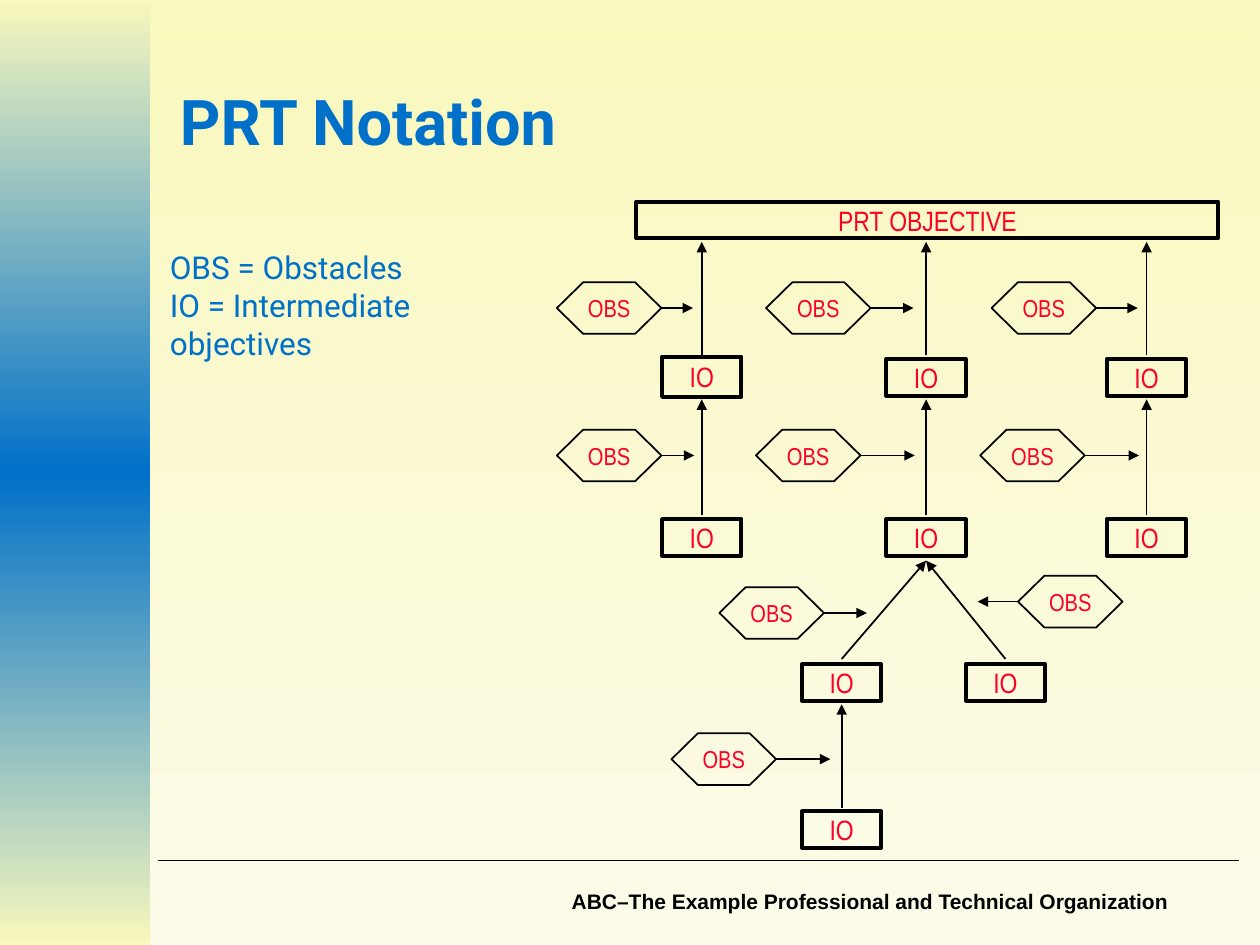
from copy import deepcopy

from lxml import etree
from pptx import Presentation
from pptx import util as u
from pptx.dml import color
from pptx.enum import shapes, text
from pptx.oxml import ns

COLORS = {"cream": "F9F8BD", "pale": "FCFBEA", "blue": "0070C8",
          "red": "FC0128", "black": "000000"}
OBJECTIVE_ARROW = (2.82, 1.92)
IO_ARROW = (4.09, 3.17)
HEXAGON_WIDTH, HEXAGON_HEIGHT = 0.83, 0.41
IO_WIDTH, IO_HEIGHT = 0.63, 0.29


def rgb(name):
    return color.RGBColor.from_string(COLORS[name])


def set_gradient(fill, owner, names):
    fill.gradient()
    fill.gradient_angle = 270
    stop_list = next(owner.iter(ns.qn("a:gsLst")))
    template = deepcopy(stop_list[0])
    for stop in list(stop_list):
        stop_list.remove(stop)
    for index in range(len(names)):
        stop_list.append(deepcopy(template))
    for index, (stop, name) in enumerate(zip(fill.gradient_stops, names)):
        stop.position = index / (len(names) - 1)
        stop.color.rgb = rgb(name)


def write_text(shape, lines, size, font, name, bold=False,
               align=text.PP_ALIGN.LEFT, anchor=text.MSO_ANCHOR.TOP):
    frame = shape.text_frame
    frame.word_wrap = True
    frame.vertical_anchor = anchor
    frame.text = lines
    for paragraph in frame.paragraphs:
        paragraph.alignment = align
        for run in paragraph.runs:
            run.font.size = u.Pt(size)
            run.font.name = font
            run.font.bold = bold
            run.font.color.rgb = rgb(name)


def add_text(slide, box, lines, size, font, name, **options):
    shape = slide.shapes.add_textbox(*map(u.Inches, box))
    write_text(shape, lines, size, font, name, **options)
    return shape


def add_node(slide, kind, box, label, size, width):
    shape = slide.shapes.add_shape(kind, *map(u.Inches, box))
    shape.shadow.inherit = False
    shape.fill.background()
    shape.line.color.rgb = rgb("black")
    shape.line.width = u.Pt(width)
    frame = shape.text_frame
    frame.margin_left = frame.margin_right = u.Inches(0.02)
    frame.margin_top = frame.margin_bottom = u.Inches(0.01)
    write_text(shape, label, size, "Arial Narrow", "red",
               align=text.PP_ALIGN.CENTER, anchor=text.MSO_ANCHOR.MIDDLE)
    return shape


def add_io(slide, center, top, height=IO_HEIGHT):
    box = (center - IO_WIDTH / 2, top, IO_WIDTH, height)
    add_node(slide, shapes.MSO_SHAPE.RECTANGLE, box, "IO", 16, 2.25)


def add_line(slide, start, end, arrow=True):
    line = slide.shapes.add_connector(
        shapes.MSO_CONNECTOR.STRAIGHT, *map(u.Inches, start + end))
    line.line.color.rgb = rgb("black")
    line.line.width = u.Pt(1)
    if arrow:
        outline = line._element.spPr.find(ns.qn("a:ln"))
        etree.SubElement(outline, ns.qn("a:tailEnd"), type="triangle")
    etree.SubElement(line._element.spPr, ns.qn("a:effectLst"))


def add_obstacle(slide, left, top, tip):
    box = (left, top, HEXAGON_WIDTH, HEXAGON_HEIGHT)
    hexagon = add_node(slide, shapes.MSO_SHAPE.HEXAGON, box, "OBS", 14, 1)
    hexagon.adjustments[0] = 0.51
    edge = left + HEXAGON_WIDTH if tip > left else left
    middle = top + HEXAGON_HEIGHT / 2
    add_line(slide, (edge, middle), (tip, middle))


def add_frame(slide):
    set_gradient(slide.background.fill, slide._element, ["cream", "pale"])
    band = slide.shapes.add_shape(shapes.MSO_SHAPE.RECTANGLE, 0, 0,
                                  u.Inches(1.19), u.Inches(7.5))
    band.shadow.inherit = False
    band.line.fill.background()
    set_gradient(band.fill, band._element, ["cream", "blue", "cream"])
    footer = add_text(slide, (3.67, 7, 5.75, 0.3),
                      "ABC–The Example Professional and Technical Organization ",
                      12, "Arial", "black", bold=True, align=text.PP_ALIGN.RIGHT)
    footer.text_frame.paragraphs[0].space_before = u.Pt(7.5)
    add_line(slide, (1.25, 6.83), (9.83, 6.83), arrow=False)


def add_columns(slide):
    columns = [
        (5.57, 2.83, 0.32, (4.42, 5.5), (4.42, 5.51)),
        (7.35, 2.85, IO_HEIGHT, (6.08, 7.25), (6, 7.26)),
        (9.1, 2.85, IO_HEIGHT, (7.87, 9.03), (7.78, 9.04)),
    ]
    for center, io_top, io_height, upper, lower in columns:
        add_io(slide, center, io_top, io_height)
        add_io(slide, center, 4.12)
        for start, end in (OBJECTIVE_ARROW, IO_ARROW):
            add_line(slide, (center, start), (center, end))
        for top, (left, tip) in ((2.24, upper), (3.41, lower)):
            add_obstacle(slide, left, top, tip)


def add_branches(slide):
    for center in (6.68, 7.98):
        add_io(slide, center, 5.27)
        add_line(slide, (center, 5.23), (7.35, 4.45))
    add_io(slide, 6.68, 6.44)
    add_line(slide, (6.68, 6.41), (6.68, 5.59))
    for left, top, tip in ((5.71, 4.66, 6.88), (8.08, 4.57, 7.76), (5.33, 5.82, 6.59)):
        add_obstacle(slide, left, top, tip)


def main():
    presentation = Presentation()
    presentation.slide_width = u.Inches(10)
    presentation.slide_height = u.Inches(7.5)
    slide = presentation.slides.add_slide(presentation.slide_layouts[6])
    add_frame(slide)
    add_text(slide, (1.33, 0.33, 8.44, 1.25), "PRT Notation", 36, "Roboto", "blue",
             bold=True, anchor=text.MSO_ANCHOR.MIDDLE)
    add_node(slide, shapes.MSO_SHAPE.RECTANGLE, (5.05, 1.6, 4.62, 0.29),
             "PRT OBJECTIVE", 16, 2.25)
    add_columns(slide)
    add_branches(slide)
    add_text(slide, (1.25, 1.92, 2.46, 1),
             "OBS = Obstacles\nIO = Intermediate objectives", 18, "Roboto", "blue")
    presentation.save("out.pptx")


main()
